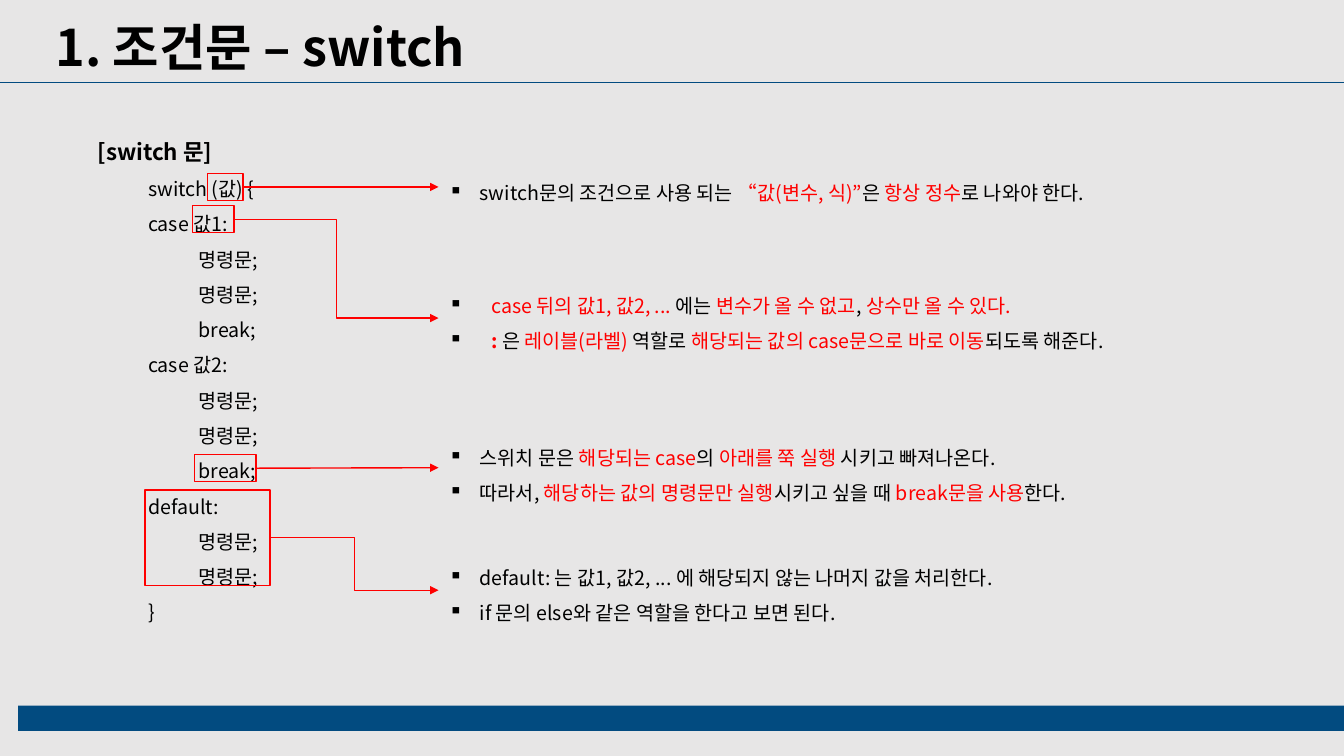
from lxml import etree
from pptx import Presentation
from pptx.dml.color import RGBColor
from pptx.enum import shapes, text
from pptx.oxml.ns import qn
from pptx.util import Inches, Pt

FONT = "Noto Sans CJK KR"
BLACK, RED, BLUE, GRAY = "000000", "FF0000", "024B80", "E7E6E6"


def rgb(value):
    return RGBColor.from_string(value)


def red(words, **fmt):
    return words, {"color": RED, **fmt}


def add_run(p, words, size=14, color=BLACK, bold=False):
    r = p.add_run()
    r.text = words
    r.font.color.rgb = rgb(color)
    for name, value in {"name": FONT, "size": Pt(size), "bold": bold}.items():
        setattr(r.font, name, value)
    etree.SubElement(r.font._element, qn("a:ea"), typeface=FONT)


def add_text(slide, box):
    sp = slide.shapes.add_textbox(*map(Inches, box))
    tf = sp.text_frame
    for name, value in {"word_wrap": True, "auto_size": text.MSO_AUTO_SIZE.SHAPE_TO_FIT_TEXT}.items():
        setattr(tf, name, value)
    return sp


def next_paragraph(tf, i, margin=0, indent=0):
    p = tf.add_paragraph() if i else tf.paragraphs[0]
    p.line_spacing = 1.5
    pPr = p._p.get_or_add_pPr()
    pPr.set("marL", str(Inches(margin)))
    pPr.set("indent", str(Inches(indent)))
    return p


def style_line(line, color, width):
    line.color.rgb = rgb(color)
    line.width = Pt(width)


def add_line(slide, kind, begin, end, color, width):
    cx = slide.shapes.add_connector(kind, *map(Inches, begin + end))
    style_line(cx.line, color, width)
    etree.SubElement(cx._element.spPr, qn("a:effectLst"))
    return cx


# Title, rule below it and footer bar
def add_frame(slide, width):
    slide.background.fill.solid()
    slide.background.fill.fore_color.rgb = rgb(GRAY)

    bar = slide.shapes.add_shape(shapes.MSO_SHAPE.RECTANGLE, *map(Inches, (0.18, 7, width - 0.18, 0.25)))
    bar.shadow.inherit = False
    bar.fill.solid()
    bar.fill.fore_color.rgb = rgb(BLUE)
    bar.line.fill.background()

    title = add_text(slide, (0.45, 0.11, 8.71, 0.71))
    add_run(title.text_frame.paragraphs[0], "1. 조건문 – switch", size=36, bold=True)
    add_line(slide, shapes.MSO_CONNECTOR.STRAIGHT, (0, 0.82), (width, 0.82), BLUE, 0.5)


# Code outline: each line has an indent level, half an inch per level
def add_code(slide, box, heading, lines):
    tf = add_text(slide, box).text_frame
    add_run(next_paragraph(tf, 0), heading, size=16, bold=True)
    for i, (level, words) in enumerate(lines, 1):
        p = next_paragraph(tf, i, margin=level * 0.5)
        p.level = level
        add_run(p, words)


# Bulleted note beside the code
def add_note(slide, box, hang, paragraphs):
    sp = add_text(slide, box)
    for i, runs in enumerate(paragraphs):
        p = next_paragraph(sp.text_frame, i, hang, -hang)
        etree.SubElement(p._p.get_or_add_pPr(), qn("a:buChar"), char="▪")
        for run in runs:
            words, fmt = (run, {}) if isinstance(run, str) else run
            add_run(p, words, **fmt)
    return sp


# Red frame around a code part, with an arrow to its note
def add_callout(slide, box, note, kind):
    frame = slide.shapes.add_shape(shapes.MSO_SHAPE.RECTANGLE, *map(Inches, box))
    frame.shadow.inherit = False
    frame.fill.background()
    style_line(frame.line, RED, 1)

    x, y, w, h = box
    end = (note.left.inches, (note.top + note.height / 2) / Inches(1))
    arrow = add_line(slide, kind, (x + w, y + h / 2), end, RED, 1)
    arrow.begin_connect(frame, 3)
    arrow.end_connect(note, 1)
    etree.SubElement(arrow.line._get_or_add_ln(), qn("a:tailEnd"), type="triangle")


CASE_BODY = [(2, "명령문;"), (2, "명령문;")]
CODE = [
    (1, "switch (값) {"),
    (1, "case 값1:"), *CASE_BODY, (2, "break;"),
    (1, "case 값2:"), *CASE_BODY, (2, "break;"),
    (1, "default:"), *CASE_BODY,
    (1, "}"),
]

STRAIGHT, ELBOW = shapes.MSO_CONNECTOR.STRAIGHT, shapes.MSO_CONNECTOR.ELBOW

# Frame box, arrow kind, note box, bullet indent, note paragraphs
NOTES = [
    ((2.06, 1.72, 0.35, 0.27), STRAIGHT, (4.35, 1.63, 7.28, 0.45), 0.31, [
        ["switch문의 조건으로 사용 되는 ", red("“값(변수, 식)”"), "은",
         red(" 항상 정수"), "로 나와야 한다."],
    ]),
    ((1.91, 2.04, 0.41, 0.27), ELBOW, (4.35, 2.75, 7.28, 0.81), 0.38, [
        [" ", red("case 뒤의 값1, 값2, ... "), "에는 ", red("변수가 올 수 없고"),
         ", ", red("상수만 올 수 있다.")],
        [" ", red(": ", bold=True), "은 ", red("레이블(라벨) "), "역할로 ",
         red("해당되는 값의 case문으로 바로 이동"), "되도록 해준다."],
    ]),
    ((1.93, 4.51, 0.61, 0.27), STRAIGHT, (4.35, 4.26, 7.01, 0.76), 0.31, [
        ["스위치 문은 ", red("해당되는 case"), "의 ", red("아래를 쭉 실행 "),
         "시키고 빠져나온다."],
        ["따라서, ", red("해당하는 값의 명령문만 실행"), "시키고 싶을 때 ",
         red("break문을 사용"), "한다."],
    ]),
    ((1.44, 4.86, 1.24, 0.95), ELBOW, (4.35, 5.45, 7.01, 0.81), 0.31, [
        ["default: 는 값1, 값2, ... 에 해당되지 않는 나머지 값을 처리한다."],
        ["if 문의 else와 같은 역할을 한다고 보면 된다."],
    ]),
]


def main():
    prs = Presentation()
    prs.slide_width, prs.slide_height = Inches(13.33), Inches(7.5)
    slide = prs.slides.add_slide(prs.slide_layouts[6])
    add_frame(slide, 13.33)
    add_code(slide, (0.87, 1.19, 4.41, 5.1), "[switch 문]", CODE)
    for frame_box, kind, note_box, hang, paragraphs in NOTES:
        note = add_note(slide, note_box, hang, paragraphs)
        add_callout(slide, frame_box, note, kind)
    prs.save("out.pptx")


if __name__ == "__main__":
    main()
